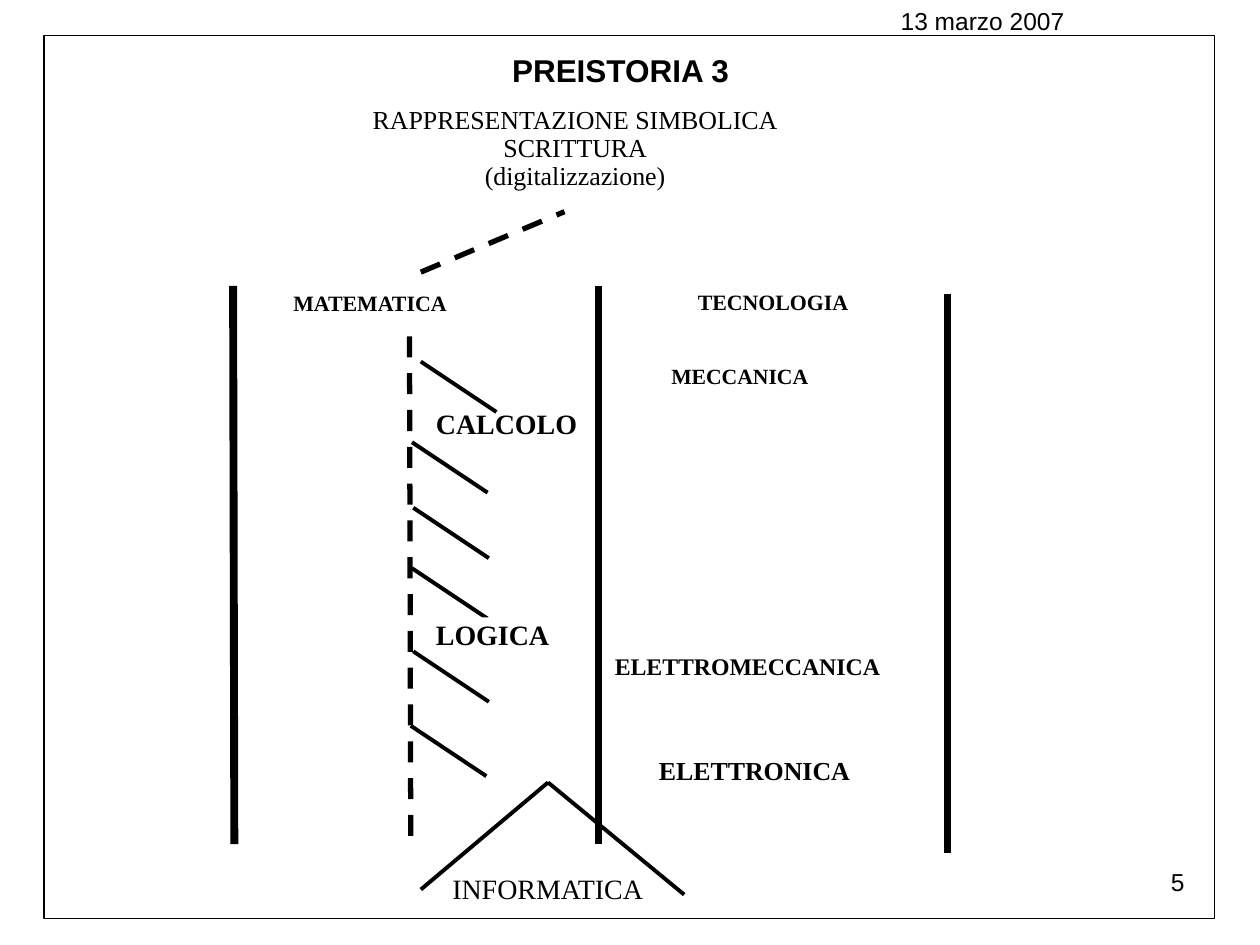
from pptx import Presentation, util as u
from pptx.dml.color import RGBColor
from pptx.enum import dml, shapes, text
from pptx.oxml.ns import qn
from lxml import etree

BLACK = RGBColor(0, 0, 0)
WHITE = RGBColor(255, 255, 255)
SANS, SERIF = "Arial", "Times New Roman"
LEFT, CENTER, RIGHT = text.PP_ALIGN.LEFT, text.PP_ALIGN.CENTER, text.PP_ALIGN.RIGHT
WIDTH, HEIGHT = 10, 7.5
FRAME = (0.35, 0.28, 9.29, 7.01)
WIDE, NONE = (0.1, 0.05), (0, 0)

HEADINGS = [
    ("5", (7.17, 6.83, 2.33, 0.52), 14, False, RIGHT),
    ("13 marzo 2007", (7.05, 0, 2.2, 0.69), 14, False, LEFT),
    ("PREISTORIA 3", (3.35, 0.36, 3.15, 0.4), 18, True, CENTER),
]
ORIGIN = "RAPPRESENTAZIONE SIMBOLICA\nSCRITTURA\n(digitalizzazione)"
LABELS = [
    (ORIGIN, (2.58, 0.85, 3.97, 0.78), 14.8, False, CENTER, NONE, 0.9),
    ("MATEMATICA", (2.23, 2.29, 2.39, 0.33), 12.5, True, LEFT, WIDE, 0.8),
    ("TECNOLOGIA", (4.86, 2.28, 2.55, 0.33), 12.5, True, CENTER, WIDE, 0.8),
    ("MECCANICA", (5.23, 2.87, 1.67, 0.33), 12.4, True, LEFT, WIDE, 0.8),
    ("ELETTROMECCANICA", (4.88, 5.2, 2.53, 0.24), 13.6, True, LEFT, NONE, 0.9),
    ("ELETTRONICA", (5.23, 6.02, 1.67, 0.26), 14.8, True, LEFT, NONE, 0.9),
    ("CALCOLO", (3.46, 3.23, 1.19, 0.28), 16, True, LEFT, NONE, 1),
    ("LOGICA", (3.46, 4.9, 1.19, 0.28), 16, True, LEFT, NONE, 1),
]
RESULT = ("INFORMATICA", (3.59, 6.92, 1.64, 0.3), 16, False, LEFT, NONE, 1)

COLUMNS = [(1.85, 2.27, 1.86, 6.7), (4.75, 2.27, 4.75, 6.7), (7.52, 2.33, 7.52, 6.77)]
DASHES = [(3.34, 2.16, 4.48, 1.68), (3.25, 2.67, 3.26, 6.64)]
APEX = (4.35, 6.21)
ROOF_FEET = [(3.34, 7.06), (5.43, 7.1)]
BRANCH = (0.6, 0.4)
BRANCHES = [(3.27, 3.51), (3.28, 4.03), (3.27, 4.51), (3.28, 5.17), (3.26, 5.76)]
FIRST_BRANCH = (3.34, 2.87)


def inches(values):
    return [u.Inches(v) for v in values]


def add_line(s, ends, weight, dash=None):
    line = s.shapes.add_connector(shapes.MSO_CONNECTOR.STRAIGHT, *inches(ends))
    line.line.color.rgb = BLACK
    line.line.width = u.Pt(weight)
    if dash:
        line.line.dash_style = dash
    etree.SubElement(line._element.spPr, qn("a:effectLst"))


def add_branch(s, start):
    add_line(s, (*start, start[0] + BRANCH[0], start[1] + BRANCH[1]), 2.25)


def add_rect(s, box):
    sp = s.shapes.add_shape(shapes.MSO_SHAPE.RECTANGLE, *inches(box))
    sp.shadow.inherit = False
    return sp


def write(sp, words, size, bold, align, inset=WIDE, spacing=1, font=SERIF):
    tf = sp.text_frame
    x, y = inches(inset)
    frame = dict(word_wrap=True, vertical_anchor=text.MSO_ANCHOR.TOP, text=words,
                 margin_left=x, margin_right=x, margin_top=y, margin_bottom=y)
    for key, value in frame.items():
        setattr(tf, key, value)
    for p in tf.paragraphs:
        p.alignment, p.line_spacing = align, spacing
        for r in p.runs:
            for key, value in dict(name=font, size=u.Pt(size), bold=bold).items():
                setattr(r.font, key, value)
            r.font.color.rgb = BLACK


def main():
    prs = Presentation()
    prs.slide_width, prs.slide_height = inches((WIDTH, HEIGHT))
    s = prs.slides.add_slide(prs.slide_layouts[6])

    frame = add_rect(s, FRAME)
    frame.fill.background()
    frame.line.color.rgb = BLACK
    frame.line.width = u.Pt(0.75)

    for words, box, *style in HEADINGS:
        write(s.shapes.add_textbox(*inches(box)), words, *style, font=SANS)

    for ends in COLUMNS:
        add_line(s, ends, 4.5)
    for ends in DASHES:
        add_line(s, ends, 3, dml.MSO_LINE.DASH)
    for start in BRANCHES:
        add_branch(s, start)

    for words, box, *style in LABELS:
        sp = add_rect(s, box)
        sp.fill.solid()
        sp.fill.fore_color.rgb = WHITE
        sp.line.fill.background()
        write(sp, words, *style)

    add_branch(s, FIRST_BRANCH)
    for foot in ROOF_FEET:
        add_line(s, (*APEX, *foot), 2.25)
    words, box, *style = RESULT
    write(s.shapes.add_textbox(*inches(box)), words, *style)

    prs.save("out.pptx")


if __name__ == "__main__":
    main()
